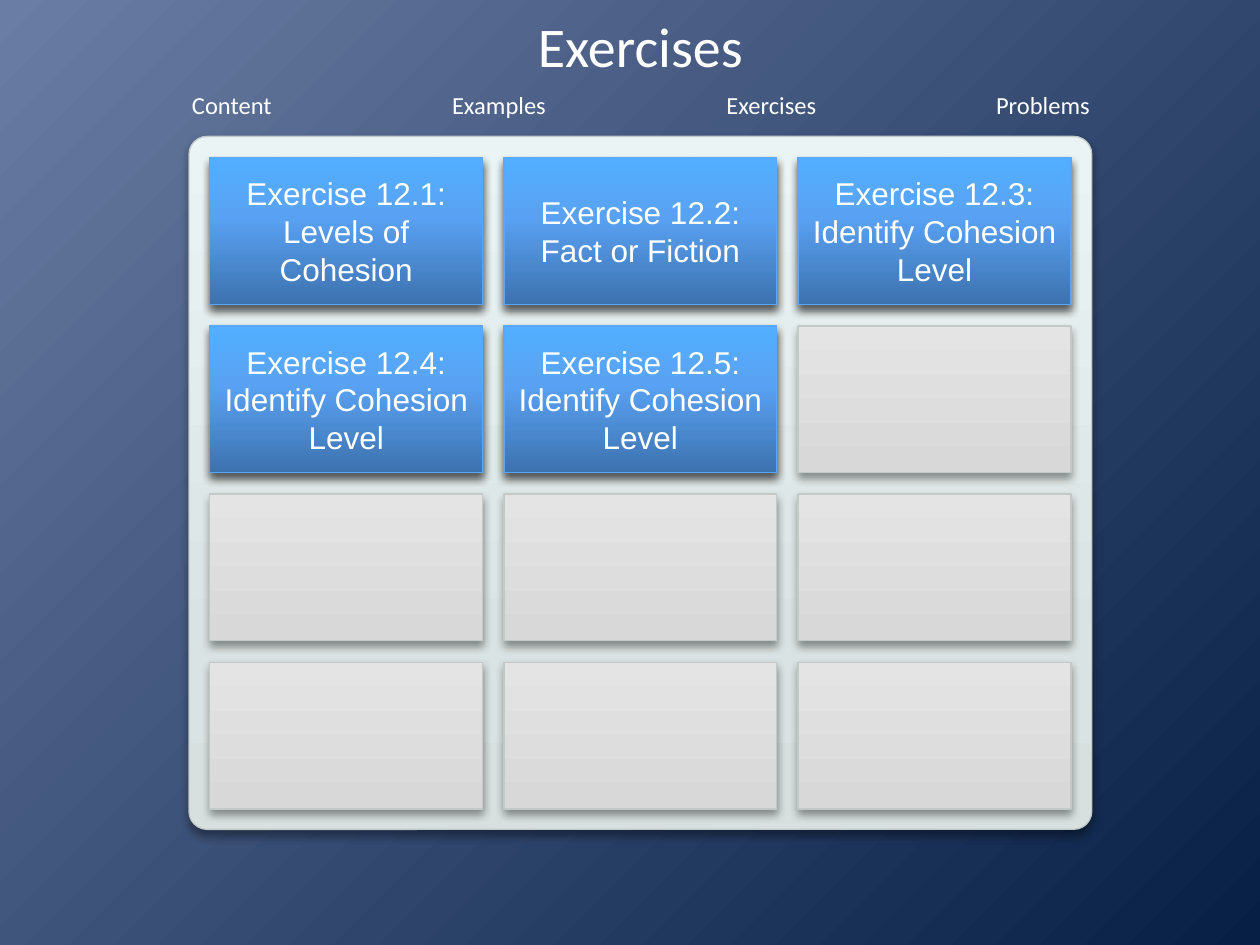
from lxml.etree import SubElement
from pptx import Presentation
from pptx.dml.color import RGBColor
from pptx.enum.shapes import MSO_SHAPE
from pptx.enum.text import MSO_ANCHOR, MSO_AUTO_SIZE, PP_ALIGN
from pptx.oxml.ns import qn
from pptx.util import Cm, Pt

COLORS = {
    "white": "FFFFFF", "shadow": "000000",
    "sky": "6A7DA4", "night": "071F45",
    "panel_low": "D7DFDF", "panel_mid": "DAE3E3", "panel_high": "EBF4F4",
    "slot_low": "D8D8D8", "slot_high": "E4E4E4", "pale_line": "C1C9C9",
    "tile_low": "3D72AF", "tile_mid": "59A2F3", "tile_high": "52AFFF",
    "tile_line": "5BA6FA",
}
PANEL_STOPS = [(0, "panel_low"), (25, "panel_mid"), (100, "panel_high")]
SLOT_STOPS = [(0, "slot_low"), (1, "slot_low"), (100, "slot_high")]
TILE_STOPS = [(0, "tile_low"), (60, "tile_mid"), (100, "tile_high")]

# Grid in cm
COLUMNS, ROWS = 3, 4
GRID_LEFT, GRID_TOP = 4.23, 3.18
CELL_WIDTH, CELL_HEIGHT = 5.5, 2.96
COLUMN_STEP, ROW_STEP = 5.93, 3.39

# Section labels with their widths in cm
SECTIONS = [("Content", 2.13), ("Examples", 2.44),
            ("Exercises", 2.34), ("Problems", 2.41)]
SECTION_LEFT, SECTION_GAP = 3.61, 3.1

EXERCISES = ["Levels of Cohesion", "Fact or Fiction", "Identify Cohesion Level",
             "Identify Cohesion Level", "Identify Cohesion Level"]


def set_gradient(fill, owner, stops, from_corner=False):
    """Fill upwards, or outwards from the top left corner."""
    fill.gradient()
    gradient = owner.find(".//" + qn("a:gradFill"))
    for child in list(gradient):
        gradient.remove(child)
    stop_list = SubElement(gradient, qn("a:gsLst"))
    for position, color in stops:
        stop = SubElement(stop_list, qn("a:gs"), pos=str(position * 1000))
        SubElement(stop, qn("a:srgbClr"), val=COLORS[color])
    if from_corner:
        shade = SubElement(gradient, qn("a:path"), {"path": "circle"})
        SubElement(shade, qn("a:fillToRect"), r="100000", b="100000")
    else:
        SubElement(gradient, qn("a:lin"), ang="16200000", scaled="0")


def add_shadow(shape):
    shape.shadow.inherit = False
    effects = shape._element.spPr.find(qn("a:effectLst"))
    shadow = SubElement(effects, qn("a:outerShdw"), blurRad=str(Pt(5.2)),
                        dist=str(Pt(3)), dir="5400000", rotWithShape="0")
    color = SubElement(shadow, qn("a:srgbClr"), val=COLORS["shadow"])
    SubElement(color, qn("a:alpha"), val="40000")


def add_box(slide, kind, left, top, width, height, stops, line):
    box = slide.shapes.add_shape(kind, Cm(left), Cm(top), Cm(width), Cm(height))
    set_gradient(box.fill, box._element.spPr, stops)
    box.line.color.rgb = RGBColor.from_string(COLORS[line])
    box.line.width = Pt(0.75)
    add_shadow(box)
    return box


def add_cell(slide, index, stops, line):
    row, column = divmod(index, COLUMNS)
    return add_box(slide, MSO_SHAPE.RECTANGLE,
                   GRID_LEFT + column * COLUMN_STEP, GRID_TOP + row * ROW_STEP,
                   CELL_WIDTH, CELL_HEIGHT, stops, line)


def write(frame, lines, size, font_name):
    """Write centred white lines into one paragraph."""
    paragraph = frame.paragraphs[0]
    paragraph.alignment = PP_ALIGN.CENTER
    for number, line in enumerate(lines):
        if number:
            paragraph.add_line_break()
        run = paragraph.add_run()
        run.text = line
        run.font.size = Pt(size)
        run.font.name = font_name
        run.font.color.rgb = RGBColor.from_string(COLORS["white"])


def add_title(slide, text):
    title = slide.shapes.title
    title.left, title.top, title.width, title.height = Cm(3.81), Cm(0.28), Cm(18.2), Cm(1.27)
    frame = title.text_frame
    frame.margin_left = frame.margin_right = frame.margin_top = frame.margin_bottom = 0
    frame.vertical_anchor = MSO_ANCHOR.MIDDLE
    frame.auto_size = MSO_AUTO_SIZE.NONE
    write(frame, [text], 32, "Calibri")


def add_sections(slide):
    left = SECTION_LEFT
    for name, width in SECTIONS:
        label = slide.shapes.add_textbox(Cm(left), Cm(1.7), Cm(width), Cm(0.86))
        label.text_frame.word_wrap = False
        label.text_frame.auto_size = MSO_AUTO_SIZE.SHAPE_TO_FIT_TEXT
        write(label.text_frame, [name], 14, "Calibri")
        left += width + SECTION_GAP


def add_exercise(slide, index, topic):
    tile = add_cell(slide, index, TILE_STOPS, "tile_line")
    tile.text_frame.word_wrap = True
    tile.text_frame.vertical_anchor = MSO_ANCHOR.MIDDLE
    write(tile.text_frame, [f"Exercise 12.{index + 1}:", topic], 18, "Arial")


def main():
    presentation = Presentation()
    presentation.slide_width, presentation.slide_height = Cm(25.4), Cm(19.05)
    slide = presentation.slides.add_slide(presentation.slide_layouts[5])

    # Background and panel
    set_gradient(slide.background.fill, slide._element,
                 [(0, "sky"), (100, "night")], from_corner=True)
    panel = add_box(slide, MSO_SHAPE.ROUNDED_RECTANGLE, 3.81, 2.75, 18.2, 13.97,
                    PANEL_STOPS, "pale_line")
    panel.adjustments[0] = 0.026

    # Empty slots
    for index in range(COLUMNS * ROWS):
        add_cell(slide, index, SLOT_STOPS, "pale_line")

    # Headings
    add_sections(slide)
    add_title(slide, "Exercises")

    # Exercise tiles
    for index, topic in enumerate(EXERCISES):
        add_exercise(slide, index, topic)

    presentation.save("out.pptx")


if __name__ == "__main__":
    main()
